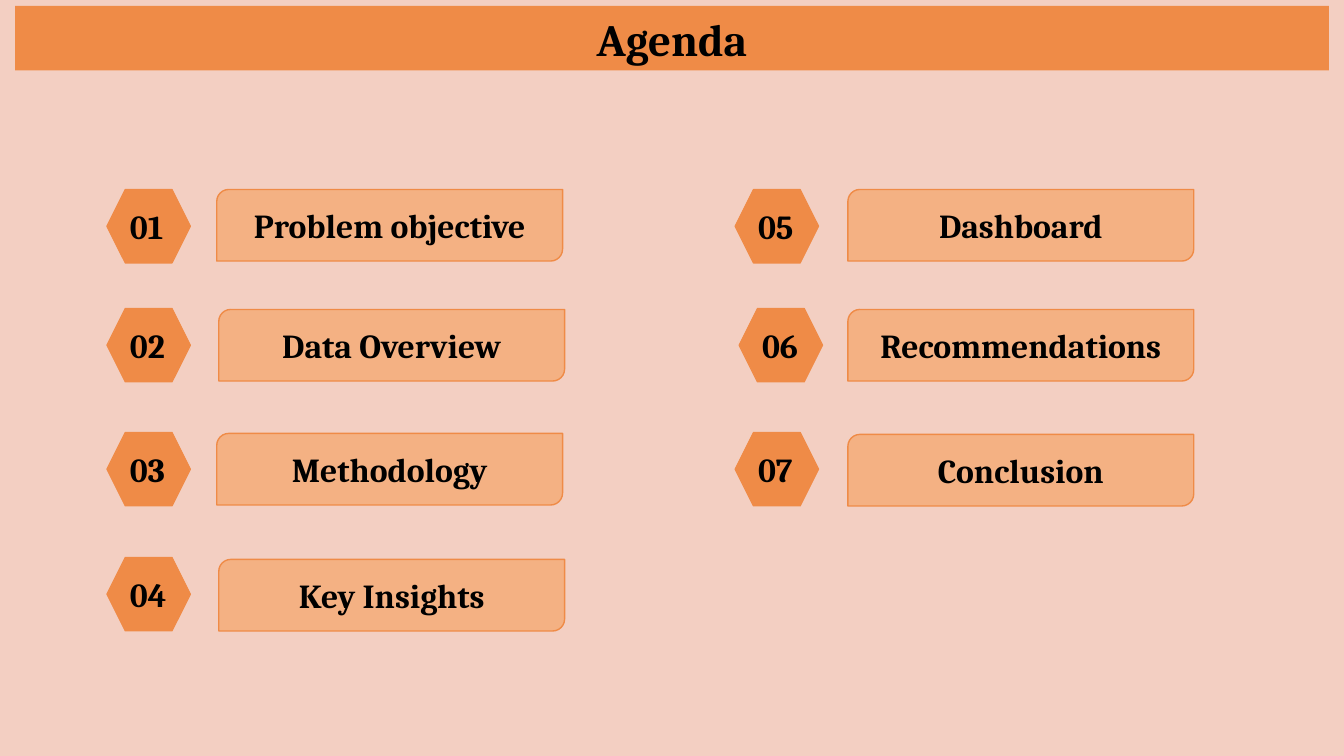
from pptx import Presentation, util as u
from pptx.dml.color import RGBColor
from pptx.enum import shapes, text

ORANGE, PEACH, PINK, BLACK = "EF8B47", "F4B183", "F3CFC2", "000000"
FONT = "Cambria"

# Number, topic, badge left and top, card left and top
AGENDA = [
    ("01", "Problem objective", 1.06, 1.88, 2.15, 1.88),
    ("02", "Data Overview", 1.06, 3.06, 2.17, 3.07),
    ("03", "Methodology", 1.06, 4.29, 2.15, 4.3),
    ("04", "Key Insights", 1.06, 5.53, 2.17, 5.55),
    ("05", "Dashboard", 7.29, 1.88, 8.41, 1.88),
    ("06", "Recommendations", 7.33, 3.06, 8.41, 3.07),
    ("07", "Conclusion", 7.29, 4.29, 8.41, 4.31),
]


def paint(color_format, color):
    color_format.rgb = RGBColor.from_string(color)


def add_label(slide, kind, box, label, size, fill, line_width=0,
              alignment=text.PP_ALIGN.CENTER):
    """Add a filled shape with one line of bold text."""
    shape = slide.shapes.add_shape(kind, *map(u.Inches, box))
    shape.shadow.inherit = False
    shape.fill.solid()
    paint(shape.fill.fore_color, fill)
    if line_width:
        paint(shape.line.color, ORANGE)
        shape.line.width = u.Pt(line_width)
    else:
        shape.line.fill.background()

    frame = shape.text_frame
    frame.word_wrap = True
    frame.vertical_anchor = text.MSO_ANCHOR.MIDDLE
    paragraph = frame.paragraphs[0]
    paragraph.alignment = alignment
    run = paragraph.add_run()
    run.text = label
    run.font.name = FONT
    run.font.size = u.Pt(size)
    run.font.bold = True
    paint(run.font.color, BLACK)
    return shape


def add_title(slide, title):
    add_label(slide, shapes.MSO_SHAPE.RECTANGLE, (0.15, 0.06, 13.03, 0.64),
              title, 32, ORANGE)


def add_card(slide, topic, left, top):
    add_label(slide, shapes.MSO_SHAPE.ROUND_2_DIAG_RECTANGLE,
              (left, top, 3.43, 0.71), topic, 24, PEACH, 1)


def add_badge(slide, number, left, top):
    badge = add_label(slide, shapes.MSO_SHAPE.HEXAGON, (left, top, 0.83, 0.73),
                      number, 24, ORANGE, 0.75, text.PP_ALIGN.LEFT)
    badge.text_frame.margin_right = 0


def main():
    presentation = Presentation()
    presentation.slide_width = u.Inches(13.33)
    presentation.slide_height = u.Inches(7.5)
    slide = presentation.slides.add_slide(presentation.slide_layouts[6])

    # Background and title bar
    slide.background.fill.solid()
    paint(slide.background.fill.fore_color, PINK)
    add_title(slide, "Agenda")

    # Numbered agenda items
    for number, topic, badge_left, badge_top, card_left, card_top in AGENDA:
        add_card(slide, topic, card_left, card_top)
        add_badge(slide, number, badge_left, badge_top)

    presentation.save("out.pptx")


if __name__ == "__main__":
    main()
